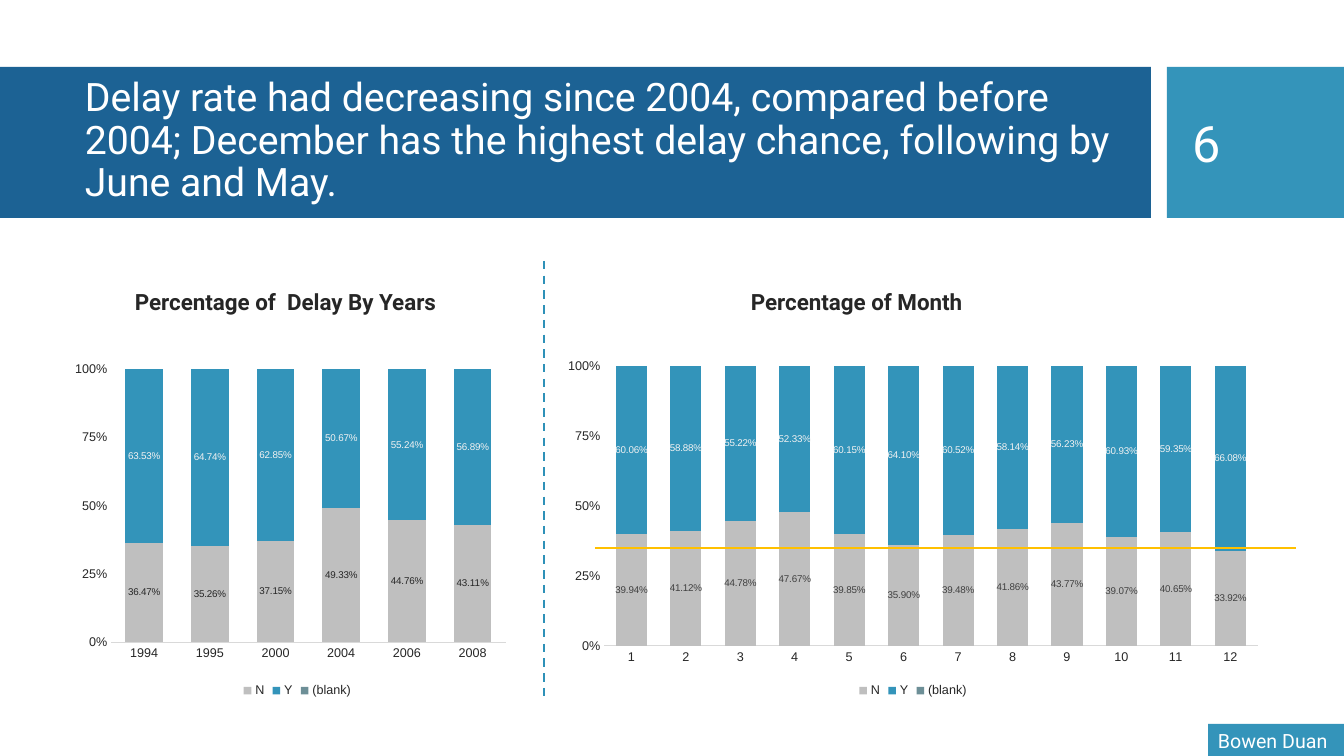
from collections import namedtuple
from dataclasses import dataclass

import pptx
import pptx.chart.data
import pptx.dml.color
import pptx.enum.chart
import pptx.enum.dml
import pptx.enum.shapes
import pptx.enum.text
import pptx.oxml
import pptx.util

PAGE_WIDTH, PAGE_HEIGHT = 1344, 756
EMU_PER_PX = 12192000 / PAGE_WIDTH

Box = namedtuple("Box", "left top width height")


@dataclass(frozen=True)
class Theme:
    text_font: str = "Roboto"
    chart_font: str = "Arial"
    band: str = "1C6294"
    accent: str = "3494BA"
    divider: str = "2E91B8"
    threshold: str = "FFC000"
    axis: str = "D9D9D9"
    white: str = "FFFFFF"
    ink: str = "262626"
    soft_ink: str = "404040"
    on_accent: str = "F2F2F2"
    series: tuple = ("BFBFBF", "3394BA", "6D8F97")
    title_size: int = 28
    number_size: int = 36
    heading_size: int = 16
    author_size: int = 14
    axis_size: int = 9
    label_size: int = 7
    line_width: float = 1.5
    axis_width: float = 0.75


THEME = Theme()


def px(length):
    return pptx.util.Emu(round(length * EMU_PER_PX))


def place(box):
    return [px(length) for length in box]


def rgb(color):
    return pptx.dml.color.RGBColor.from_string(color)


def style_font(font, name, size, color):
    font.name = name
    font.size = pptx.util.Pt(size)
    font.color.rgb = rgb(color)


def write(shape, text, size, color, bold=False, middle=False):
    frame = shape.text_frame
    frame.text = text
    frame.word_wrap = True
    anchor = pptx.enum.text.MSO_ANCHOR
    frame.vertical_anchor = anchor.MIDDLE if middle else anchor.TOP
    para = frame.paragraphs[0]
    para.alignment = pptx.enum.text.PP_ALIGN.LEFT
    span = para.runs[0]
    style_font(span.font, THEME.text_font, size, color)
    span.font.bold = bold
    return para


def add_text(page, box, *args, **options):
    return write(page.shapes.add_textbox(*place(box)), *args, **options)


def add_panel(page, box, color):
    panel = page.shapes.add_shape(pptx.enum.shapes.MSO_SHAPE.RECTANGLE, *place(box))
    panel.shadow.inherit = False
    panel.fill.solid()
    panel.fill.fore_color.rgb = rgb(color)
    panel.line.fill.background()
    return panel


def add_line(page, start, end, color, dashed=False):
    line = page.shapes.add_connector(
        pptx.enum.shapes.MSO_CONNECTOR.STRAIGHT, *place(start + end))
    line.line.color.rgb = rgb(color)
    line.line.width = pptx.util.Pt(THEME.line_width)
    if dashed:
        line.line.dash_style = pptx.enum.dml.MSO_LINE.DASH
    properties = line._element.spPr
    properties.append(pptx.oxml.parse_xml(
        '<a:effectLst xmlns:a="http://schemas.openxmlformats.org/drawingml/2006/main"/>'))


def add_header(page, box, title, number):
    number_width, gap = 177, 16
    band = box._replace(width=box.width - number_width - gap)
    tile = box._replace(left=box.left + box.width - number_width, width=number_width)
    add_panel(page, band, THEME.band)
    add_panel(page, tile, THEME.accent)
    title_box = Box(band.left + 75, band.top + 15, band.width - 91, 119)
    para = add_text(page, title_box, title, THEME.title_size, THEME.white, middle=True)
    para.line_spacing = 0.9
    number_box = Box(tile.left + 16, tile.top + 15, 127, 120)
    add_text(page, number_box, number, THEME.number_size, THEME.white, middle=True)


def set_plot_area(chart, plot):
    """Fix the inner plot area, given as fractions of the chart's box."""
    values = "".join(f'<c:{tag} val="{value}"/>' for tag, value in zip("xywh", plot))
    layout = pptx.oxml.parse_xml(
        '<c:layout xmlns:c="http://schemas.openxmlformats.org/drawingml/2006/chart">'
        '<c:manualLayout><c:layoutTarget val="inner"/>'
        '<c:xMode val="edge"/><c:yMode val="edge"/>'
        f'{values}</c:manualLayout></c:layout>')
    area = chart._chartSpace.chart.plotArea
    for old in area.findall(layout.tag):
        area.remove(old)
    area.insert(0, layout)


def style_axes(chart):
    for axis in (chart.category_axis, chart.value_axis):
        axis.has_major_gridlines = False
        axis.major_tick_mark = pptx.enum.chart.XL_TICK_MARK.NONE
        axis.minor_tick_mark = pptx.enum.chart.XL_TICK_MARK.NONE
        style_font(axis.tick_labels.font, THEME.chart_font, THEME.axis_size, THEME.ink)
    chart.category_axis.format.line.color.rgb = rgb(THEME.axis)
    chart.category_axis.format.line.width = pptx.util.Pt(THEME.axis_width)
    values = chart.value_axis
    values.format.line.fill.background()
    values.minimum_scale, values.maximum_scale, values.major_unit = 0, 1, 0.25
    values.tick_labels.number_format = "0%"
    values.tick_labels.number_format_is_linked = False


def style_labels(series, color):
    labels = series.data_labels
    labels.show_value = True
    labels.number_format = "0.00%"
    labels.number_format_is_linked = False
    labels.position = pptx.enum.chart.XL_LABEL_POSITION.CENTER
    style_font(labels.font, THEME.chart_font, THEME.label_size, color)


def add_delay_chart(page, box, categories, on_time, delayed, plot, label_color):
    data = pptx.chart.data.CategoryChartData(number_format="0.00%")
    data.categories = categories
    data.add_series("N", on_time)
    data.add_series("Y", delayed)
    data.add_series("(blank)", [0] * len(categories))
    chart = page.shapes.add_chart(
        pptx.enum.chart.XL_CHART_TYPE.COLUMN_STACKED, *place(box), data).chart
    style_font(chart.font, THEME.chart_font, THEME.axis_size, THEME.ink)
    chart.has_title = False
    chart.has_legend = True
    chart.legend.position = pptx.enum.chart.XL_LEGEND_POSITION.BOTTOM
    chart.legend.include_in_layout = False
    style_font(chart.legend.font, THEME.chart_font, THEME.axis_size, THEME.ink)
    style_axes(chart)
    set_plot_area(chart, plot)
    columns = chart.plots[0]
    columns.gap_width, columns.overlap, columns.vary_by_categories = 75, 100, False
    for series, color in zip(columns.series, THEME.series):
        series.format.fill.solid()
        series.format.fill.fore_color.rgb = rgb(color)
    for series, color in zip(columns.series, (label_color, THEME.on_accent)):
        style_labels(series, color)


def add_chart_region(page, box, heading, heading_left, heading_width, **chart_options):
    heading_box = Box(box.left + heading_left, box.top, heading_width, 37)
    add_text(page, heading_box, heading, THEME.heading_size, THEME.ink, bold=True)
    chart_box = box._replace(top=box.top + 69, height=box.height - 69)
    add_delay_chart(page, chart_box, **chart_options)


def add_author(page, box, name):
    write(add_panel(page, box, THEME.accent), name, THEME.author_size, THEME.white)


def build_delay_page(deck):
    page = deck.slides.add_slide(deck.slide_layouts[6])
    add_header(
        page, Box(0, 67, PAGE_WIDTH, 151),
        "Delay rate had decreasing since 2004, compared before 2004; "
        "December has the highest delay chance, following by June and May.", "6")
    add_chart_region(
        page, Box(75, 283, 444, 419), "Percentage of  Delay By Years", 50, 346,
        categories=["1994", "1995", "2000", "2004", "2006", "2008"],
        on_time=[0.3647, 0.3526, 0.3715, 0.4933, 0.4476, 0.4311],
        delayed=[0.6353, 0.6474, 0.6285, 0.5067, 0.5524, 0.5689],
        plot=(0.08, 0.05, 0.89, 0.78), label_color=THEME.ink)
    add_chart_region(
        page, Box(554, 283, 718, 419), "Percentage of Month", 187, 250,
        categories=[str(month) for month in range(1, 13)],
        on_time=[0.3994, 0.4112, 0.4478, 0.4767, 0.3985, 0.359,
                 0.3948, 0.4186, 0.4377, 0.3907, 0.4065, 0.3392],
        delayed=[0.6006, 0.5888, 0.5522, 0.5233, 0.6015, 0.641,
                 0.6052, 0.5814, 0.5623, 0.6093, 0.5935, 0.6608],
        plot=(0.07, 0.04, 0.91, 0.8), label_color=THEME.soft_ink)
    add_line(page, (544, 261), (544, 702), THEME.divider, dashed=True)
    add_line(page, (595, 548), (1296, 548), THEME.threshold)
    add_author(page, Box(1208, 724, 136, 32), "Bowen Duan")


def main():
    deck = pptx.Presentation()
    deck.slide_width, deck.slide_height = px(PAGE_WIDTH), px(PAGE_HEIGHT)
    build_delay_page(deck)
    deck.save("out.pptx")


if __name__ == "__main__":
    main()
